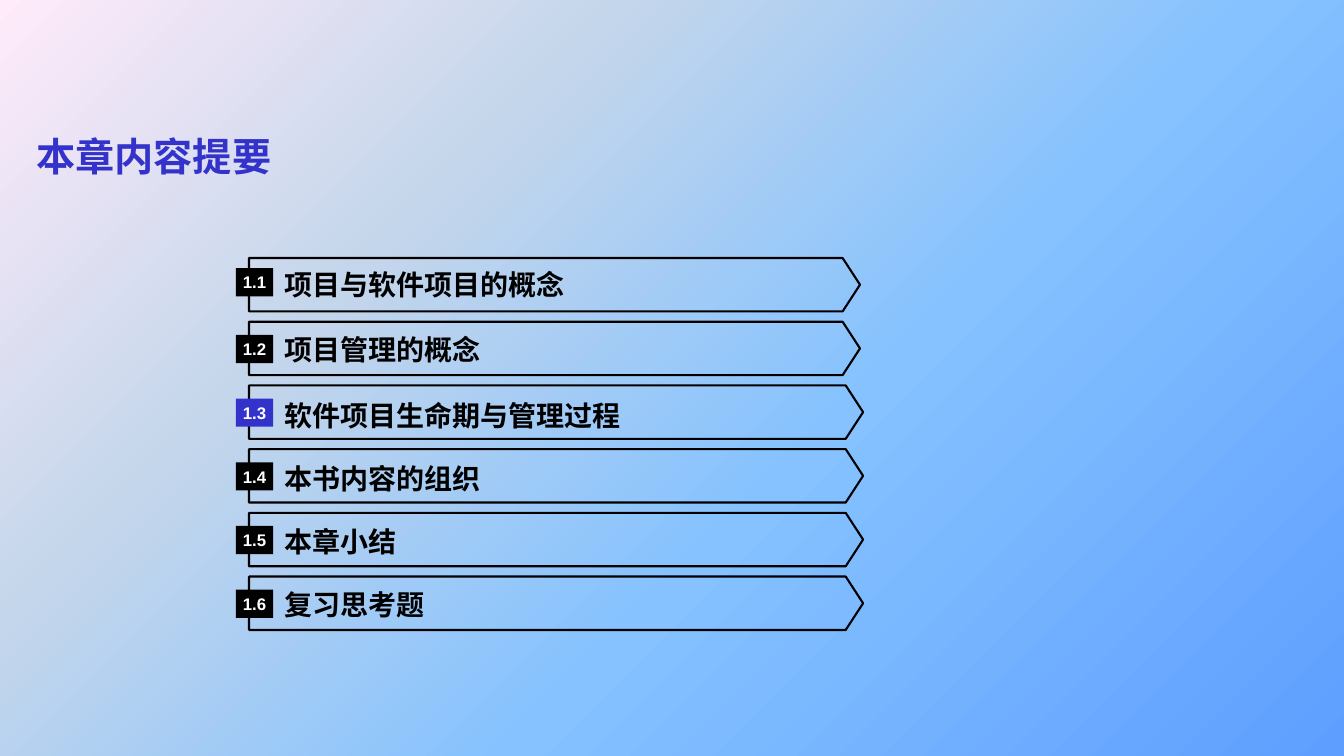
from pptx import Presentation
from pptx.dml.color import RGBColor
from pptx.enum.shapes import MSO_SHAPE
from pptx.enum.text import MSO_ANCHOR, PP_ALIGN
from pptx.oxml.ns import qn
from pptx.util import Inches, Pt
from lxml import etree

PENTAGON, RECTANGLE = MSO_SHAPE.PENTAGON, MSO_SHAPE.RECTANGLE
MIDDLE = MSO_ANCHOR.MIDDLE
LEFT, CENTER = PP_ALIGN.LEFT, PP_ALIGN.CENTER

COLORS = {"black": "000000", "white": "FFFFFF", "accent": "3333CC"}
GRADIENT = {0: "5E9EFF", 40: "85C2FF", 70: "C4D6EB", 100: "FFEBFA"}
FIRST_TOP, ROW_PITCH = 2.56, 0.632
CURRENT_SECTION = "1.3"
SECTIONS = [
    ("1.1", "项目与软件项目的概念", 6.06, 0.06, 0.10),
    ("1.2", "项目管理的概念", 6.06, 0.07, 0.13),
    ("1.3", "软件项目生命期与管理过程", 6.09, 0.10, 0.13),
    ("1.4", "本书内容的组织", 6.09, 0.09, 0.13),
    ("1.5", "本章小结", 6.09, 0.08, 0.13),
    ("1.6", "复习思考题", 6.09, 0.08, 0.13),
]


def color(name):
    return RGBColor.from_string(COLORS[name])


def write_text(shape, text, size, font, ink, align=LEFT, margin=0):
    frame = shape.text_frame
    frame.word_wrap = True
    frame.vertical_anchor = MIDDLE
    frame.margin_left = frame.margin_right = Inches(margin)
    frame.margin_top = frame.margin_bottom = Inches(margin / 2)
    paragraph = frame.paragraphs[0]
    paragraph.alignment = align
    run = paragraph.add_run()
    run.text = text
    run.font.size = Pt(size)
    run.font.name = font
    run.font.bold = True
    run.font.color.rgb = color(ink)


class AgendaSlide:
    heading_font = "Arial"
    label_font = "Times New Roman"

    def __init__(self, presentation):
        self.slide = presentation.slides.add_slide(presentation.slide_layouts[5])

    def background(self, stops, angle):
        fill = self.slide.background.fill
        fill.gradient()
        fill.gradient_angle = angle
        stop_list = self.slide.element.find(".//" + qn("a:gsLst"))
        for stop in list(stop_list):
            stop_list.remove(stop)
        for position, value in stops.items():
            stop = etree.SubElement(stop_list, qn("a:gs"), pos=str(position * 1000))
            etree.SubElement(stop, qn("a:srgbClr"), val=value)

    def title(self, text, *box):
        title = self.slide.shapes.title
        title.left, title.top, title.width, title.height = map(Inches, box)
        write_text(title, text, 28, self.heading_font, "accent", margin=0.1)

    def banner(self, group, *box):
        banner = group.shapes.add_shape(PENTAGON, *map(Inches, box))
        banner.adjustments[0] = 0.325
        banner.shadow.inherit = False
        banner.fill.background()
        banner.line.color.rgb = color("black")
        banner.line.width = Pt(1.5)

    def label(self, group, text, *box):
        label = group.shapes.add_textbox(*map(Inches, box))
        write_text(label, text, 20, self.label_font, "black")

    def badge(self, group, text, fill, *box):
        badge = group.shapes.add_shape(RECTANGLE, *map(Inches, box))
        badge.shadow.inherit = False
        badge.fill.solid()
        badge.fill.fore_color.rgb = color(fill)
        badge.line.fill.background()
        write_text(badge, text, 12, self.heading_font, "white", align=CENTER)

    def section(self, top, number, text, width, label_offset, badge_offset):
        group = self.slide.shapes.add_group_shape()
        fill = "accent" if number == CURRENT_SECTION else "black"
        self.banner(group, 2.47, top, width, 0.53)
        self.label(group, text, 2.82, top + label_offset, 5.3, 0.4)
        self.badge(group, number, fill, 2.34, top + badge_offset, 0.37, 0.28)


presentation = Presentation()
presentation.slide_width = Inches(13.33)
presentation.slide_height = Inches(7.5)
agenda = AgendaSlide(presentation)
agenda.background(GRADIENT, angle=135)
agenda.title("本章内容提要", 0.26, 1.15, 12.81, 0.79)
for index, section in enumerate(SECTIONS):
    agenda.section(FIRST_TOP + index * ROW_PITCH, *section)
presentation.save("out.pptx")
